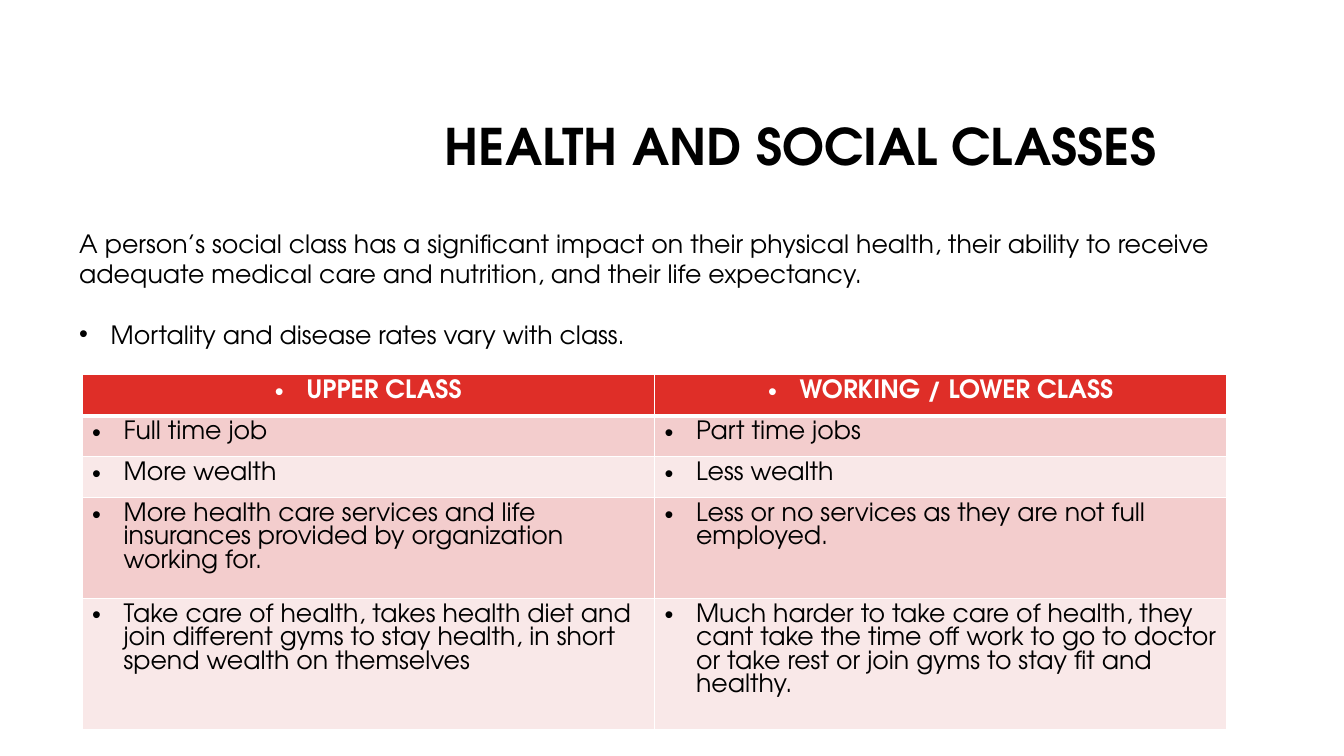
from lxml import etree
from pptx import Presentation
from pptx.dml.color import RGBColor
from pptx.enum import text
from pptx.oxml import ns
from pptx.util import Pt

COLORS = {
    "ink": "000000",
    "white": "FFFFFF",
    "header": "DF2E28",
    "dark_band": "F3CDCD",
    "light_band": "F9E8E8",
}
CLASS_ROWS = [
    ("UPPER CLASS", "WORKING / LOWER CLASS"),
    ("Full time job", "Part time jobs"),
    ("More wealth", "Less wealth"),
    ("More health care services and life insurances provided by organization working for.",
     "Less or no services as they are not full employed."),
    ("Take care of health, takes health diet and join different gyms to stay health, "
     "in short spend wealth on themselves",
     "Much harder to take care of health, they cant take the time off work to go to doctor "
     "or take rest or join gyms to stay fit and healthy."),
]
ROW_HEIGHTS = [29.2, 29.2, 29.2, 72, 93]


class SlideBuilder:
    font_name = "TeX Gyre Adventor"
    body_size = 18
    indent = 22.5

    def __init__(self, slide):
        self.slide = slide

    def style(self, paragraph, size=body_size, color="ink", bold=False):
        font = paragraph.font
        font.name, font.size, font.bold = self.font_name, Pt(size), bold
        font.color.rgb = RGBColor.from_string(COLORS[color])

    def bullet(self, paragraph):
        properties = paragraph._p.get_or_add_pPr()
        properties.set("marL", str(Pt(self.indent)))
        properties.set("indent", str(-Pt(self.indent)))
        etree.SubElement(properties, ns.qn("a:buFont"), typeface="Arial")
        etree.SubElement(properties, ns.qn("a:buChar"), char="•")

    def textbox(self, left, top, width, height):
        frame = self.slide.shapes.add_textbox(
            Pt(left), Pt(top), Pt(width), Pt(height)).text_frame
        frame.word_wrap = True
        return frame

    def title(self, words, *box):
        heading = self.textbox(*box).paragraphs[0]
        heading.text = words
        self.style(heading, size=36, bold=True)

    def statement(self, words, point, *box):
        """Add a plain paragraph followed, one line lower, by a bulleted one."""
        frame = self.textbox(*box)
        intro, detail = frame.paragraphs[0], frame.add_paragraph()
        intro.text, detail.text = words, point
        self.bullet(detail)
        detail.space_before = Pt(21.6)
        for paragraph in (intro, detail):
            self.style(paragraph)

    def borders(self, cell, bottom_width):
        properties = cell._tc.get_or_add_tcPr()
        for side in "LRTB":
            width = bottom_width if side == "B" else 1
            line = etree.SubElement(properties, ns.qn(f"a:ln{side}"), w=str(Pt(width)))
            fill = etree.SubElement(line, ns.qn("a:solidFill"))
            etree.SubElement(fill, ns.qn("a:srgbClr"), val=COLORS["white"])

    def cell(self, cell, words, band, is_header):
        self.borders(cell, 3 if is_header else 1)
        cell.fill.solid()
        cell.fill.fore_color.rgb = RGBColor.from_string(COLORS[band])
        entry = cell.text_frame.paragraphs[0]
        entry.text = words
        self.bullet(entry)
        if is_header:
            entry.alignment = text.PP_ALIGN.CENTER
        self.style(entry, color="white" if is_header else "ink", bold=is_header)

    def table(self, rows, heights, left, top, width):
        table = self.slide.shapes.add_table(
            len(rows), len(rows[0]), Pt(left), Pt(top), Pt(width), Pt(sum(heights))).table
        for row_index, (entries, height) in enumerate(zip(rows, heights)):
            table.rows[row_index].height = Pt(height)
            is_header = row_index == 0
            band = "header" if is_header else ("light_band", "dark_band")[row_index % 2]
            for column_index, words in enumerate(entries):
                self.cell(table.cell(row_index, column_index), words, band, is_header)


def main():
    deck = Presentation()
    deck.slide_width, deck.slide_height = Pt(960), Pt(540)
    builder = SlideBuilder(deck.slides.add_slide(deck.slide_layouts[6]))
    builder.title("HEALTH AND SOCIAL CLASSES", 310.6, 78.5, 635.8, 51)
    builder.statement(
        "A person’s social class has a significant impact on their physical health, "
        "their ability to receive adequate medical care and nutrition, "
        "and their life expectancy.",
        "Mortality and disease rates vary with class.",
        49.5, 159.6, 874, 116.6)
    builder.table(CLASS_ROWS, ROW_HEIGHTS, 58.6, 267.8, 817.9)
    deck.save("out.pptx")


if __name__ == "__main__":
    main()
